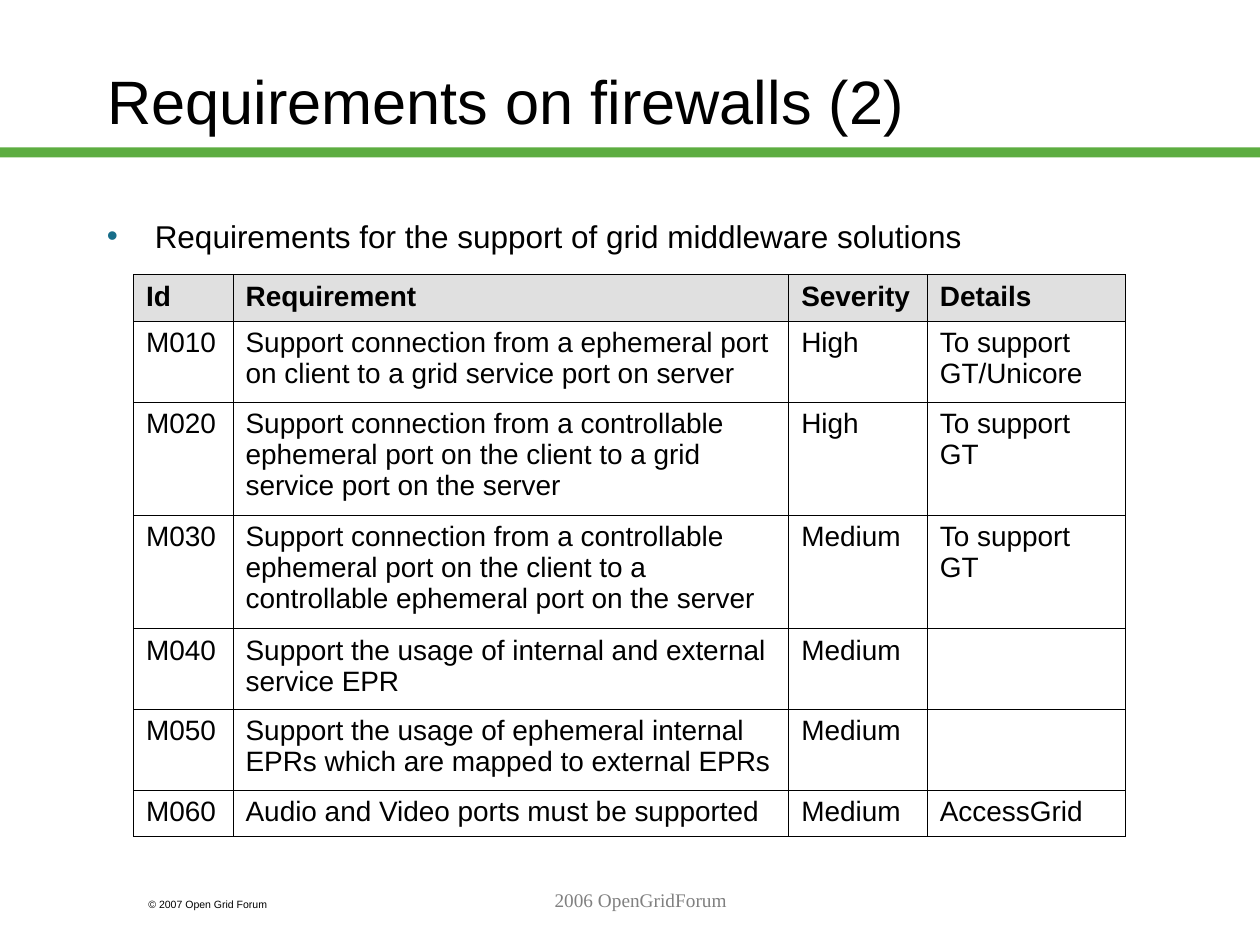
from lxml.etree import SubElement
from pptx import Presentation
from pptx.dml.color import RGBColor
from pptx.enum.shapes import MSO_SHAPE
from pptx.enum.text import MSO_ANCHOR, MSO_AUTO_SIZE, PP_ALIGN
from pptx.oxml.ns import qn
from pptx.util import Inches, Pt

COLORS = {"text": "000000", "rule": "5DAD41", "bullet": "176D89",
          "header": "E0E0E0", "footer": "808080"}
FORMATS = {
    "title": {"name": "Arial", "size": Pt(35), "bold": False},
    "body": {"name": "Arial", "size": Pt(18), "bold": False},
    "header": {"name": "Arial", "size": Pt(16), "bold": True},
    "cell": {"name": "Arial", "size": Pt(16), "bold": False},
    "copyright": {"name": "Arial", "size": Pt(6), "bold": False},
    "footer": {"name": "Times New Roman", "size": Pt(11), "bold": False},
}
COLS = [0.79, 4.41, 1.1, 1.57]
ROW_HEIGHTS = [0.37, 0.64, 0.9, 0.9, 0.64, 0.64, 0.37]
ROWS = [
    ["Id", "Requirement", "Severity", "Details"],
    ["M010", "Support connection from a ephemeral port on client to a grid "
     "service port on server", "High", "To support GT/Unicore"],
    ["M020", "Support connection from a controllable ephemeral port on the "
     "client to a grid service port on the server", "High", "To support GT"],
    ["M030", "Support connection from a controllable ephemeral port on the "
     "client to a controllable ephemeral port on the server", "Medium",
     "To support GT"],
    ["M040", "Support the usage of internal and external service EPR",
     "Medium", ""],
    ["M050", "Support the usage of ephemeral internal EPRs which are mapped "
     "to external EPRs", "Medium", ""],
    ["M060", "Audio and Video ports must be supported", "Medium",
     "AccessGrid"],
]


class SlideBuilder:
    """Holds the style and the current slide, and adds each kind of element."""

    def __init__(self, prs, colors, formats):
        self.colors, self.formats = colors, formats
        self.slide = prs.slides.add_slide(prs.slide_layouts[5])

    def color(self, name):
        return RGBColor.from_string(self.colors[name])

    def fill_text(self, tf, text, style, color="text", align=PP_ALIGN.LEFT):
        tf.word_wrap = True
        p = tf.paragraphs[0]
        p.alignment = align
        r = p.add_run()
        r.text = text
        for key, value in self.formats[style].items():
            setattr(r.font, key, value)
        r.font.color.rgb = self.color(color)
        return p

    def bar(self, x, y, w, h, color):
        sp = self.slide.shapes.add_shape(
            MSO_SHAPE.RECTANGLE, Inches(x), Inches(y), Inches(w), Inches(h))
        sp.shadow.inherit = False
        sp.fill.solid()
        sp.fill.fore_color.rgb = self.color(color)
        sp.line.fill.background()

    def title(self, x, y, w, h, text):
        sp = self.slide.shapes.title
        sp.left, sp.top, sp.width, sp.height = map(Inches, (x, y, w, h))
        tf = sp.text_frame
        tf.auto_size = MSO_AUTO_SIZE.NONE
        tf.vertical_anchor = MSO_ANCHOR.MIDDLE
        self.fill_text(tf, text, "title")

    def text(self, x, y, w, h, text, style, **kwargs):
        sp = self.slide.shapes.add_textbox(
            Inches(x), Inches(y), Inches(w), Inches(h))
        return self.fill_text(sp.text_frame, text, style, **kwargs)

    def bullet(self, x, y, w, h, text):
        p = self.text(x, y, w, h, text, "body")
        pPr = p._p.get_or_add_pPr()
        pPr.set("marL", str(Inches(0.38)))
        pPr.set("indent", str(-Inches(0.38)))
        clr = SubElement(pPr, qn("a:buClr"))
        SubElement(clr, qn("a:srgbClr"), val=self.colors["bullet"])
        SubElement(pPr, qn("a:buFont"), typeface="Arial")
        SubElement(pPr, qn("a:buChar"), char="•")

    def borders(self, cell):
        tcPr = cell._tc.get_or_add_tcPr()
        for side in ("lnL", "lnR", "lnT", "lnB"):
            ln = SubElement(tcPr, qn(f"a:{side}"), w=str(Pt(0.45)))
            fill = SubElement(ln, qn("a:solidFill"))
            SubElement(fill, qn("a:srgbClr"), val=self.colors["text"])

    def table(self, x, y, cols, heights, rows):
        tbl = self.slide.shapes.add_table(
            len(rows), len(cols), Inches(x), Inches(y),
            Inches(sum(cols)), Inches(sum(heights))).table
        tbl.horz_banding = False
        for col, width in zip(tbl.columns, cols):
            col.width = Inches(width)
        for i, (row, height, texts) in enumerate(zip(tbl.rows, heights, rows)):
            row.height = Inches(height)
            for cell, text in zip(row.cells, texts):
                self.borders(cell)
                if i == 0:
                    cell.fill.solid()
                    cell.fill.fore_color.rgb = self.color("header")
                else:
                    cell.fill.background()
                if text:
                    self.fill_text(cell.text_frame, text,
                                   "cell" if i else "header")


def main():
    prs = Presentation()
    prs.slide_width, prs.slide_height = Inches(10), Inches(7.5)
    s = SlideBuilder(prs, COLORS, FORMATS)
    s.bar(0, 1.17, 10, 0.08, "rule")
    s.text(1.08, 7.08, 1.5, 0.2, "© 2007 Open Grid Forum", "copyright")
    s.title(0.75, 0.17, 8.5, 1.25, "Requirements on firewalls (2)")
    s.bullet(0.75, 1.67, 8.42, 4.5,
             "Requirements for the support of grid middleware solutions")
    s.table(1.06, 2.18, COLS, ROW_HEIGHTS, ROWS)
    s.text(2.17, 7, 5.83, 0.5, "2006 OpenGridForum", "footer",
           color="footer", align=PP_ALIGN.CENTER)
    prs.save("out.pptx")


if __name__ == "__main__":
    main()
